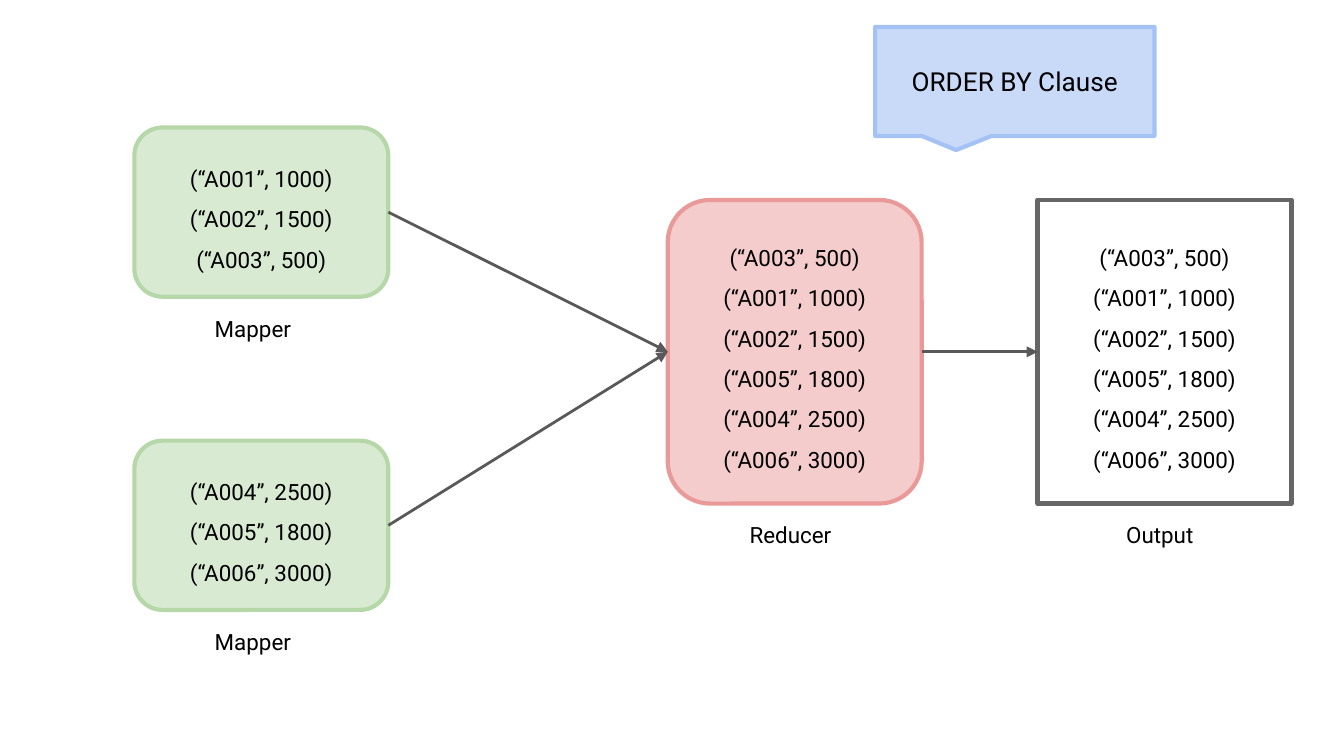
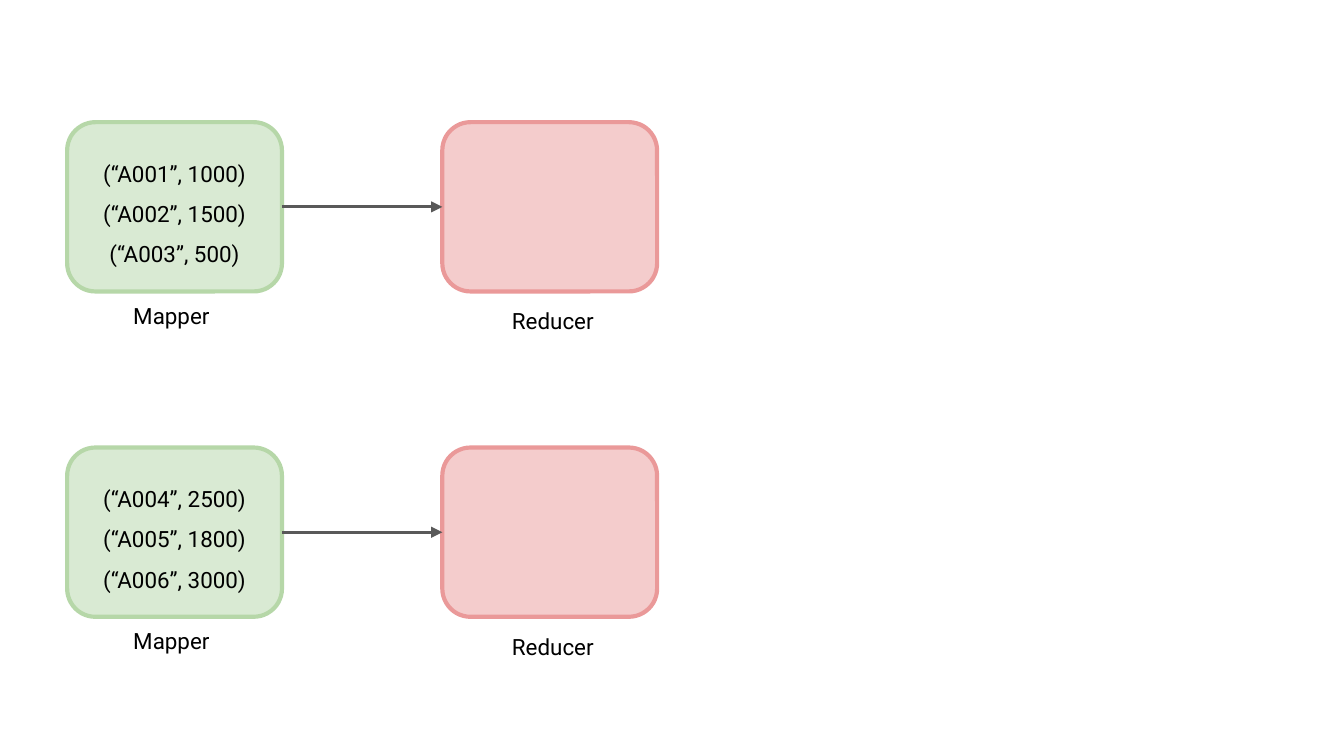
from dataclasses import dataclass

from lxml import etree
from pptx import Presentation
from pptx.dml.color import RGBColor
from pptx.enum import shapes, text
from pptx.oxml import ns
from pptx.util import Cm, Pt

BLACK = RGBColor(0x00, 0x00, 0x00)
WHITE = RGBColor(0xFF, 0xFF, 0xFF)
GREEN = RGBColor(0xD9, 0xEA, 0xD3)
LEAF = RGBColor(0xB6, 0xD7, 0xA8)
PINK = RGBColor(0xF4, 0xCC, 0xCC)
ROSE = RGBColor(0xEA, 0x99, 0x99)
SKY = RGBColor(0xC9, 0xDA, 0xF8)
BLUE = RGBColor(0xA4, 0xC2, 0xF4)
GRAY = RGBColor(0x66, 0x66, 0x66)
DARK = RGBColor(0x59, 0x59, 0x59)

FORM = shapes.MSO_SHAPE
LEFT, RIGHT = 1, 3
PAD = Cm(0.25)
FRAME = {
    "word_wrap": True,
    "margin_left": PAD,
    "margin_right": PAD,
    "margin_top": PAD,
    "margin_bottom": PAD,
}


@dataclass(frozen=True)
class Style:
    form: FORM
    fill: RGBColor
    edge: RGBColor
    size: int = 12
    lead: float = 1.5


@dataclass(frozen=True)
class Box:
    style: Style
    left: float
    top: float
    width: float
    height: float
    rows: tuple = ()


@dataclass(frozen=True)
class Label:
    words: str
    left: float
    top: float
    width: float


MAPPER = Style(FORM.ROUNDED_RECTANGLE, GREEN, LEAF)
REDUCER = Style(FORM.ROUNDED_RECTANGLE, PINK, ROSE)
OUTPUT = Style(FORM.RECTANGLE, WHITE, GRAY)
CLAUSE = Style(FORM.ROUNDED_RECTANGULAR_CALLOUT, SKY, BLUE, 14, 1.0)

PAIRS = {"A001": 1000, "A002": 1500, "A003": 500,
         "A004": 2500, "A005": 1800, "A006": 3000}


def rows(keys) -> tuple:
    return tuple(f"(“{key}”, {PAIRS[key]})" for key in keys)


HALVES = (rows(list(PAIRS)[:3]), rows(list(PAIRS)[3:]))
SORTED = rows(sorted(PAIRS, key=PAIRS.get))


def assign(target, values: dict) -> None:
    for name, value in values.items():
        setattr(target, name, value)


def write(frame, lines: tuple, size: int, lead: float, extra: dict) -> None:
    assign(frame, FRAME | extra)
    for spot, line in enumerate(lines):
        para = frame.add_paragraph() if spot else frame.paragraphs[0]
        assign(para, {"alignment": text.PP_ALIGN.CENTER, "line_spacing": lead})
        run = para.add_run()
        run.text = line
        assign(run.font, {"name": "Roboto", "size": Pt(size)})
        run.font.color.rgb = BLACK


def draw_box(slide, box: Box):
    style = box.style
    shape = slide.shapes.add_shape(
        style.form, Cm(box.left), Cm(box.top), Cm(box.width), Cm(box.height))
    shape.shadow.inherit = False
    shape.fill.solid()
    shape.fill.fore_color.rgb = style.fill
    shape.line.color.rgb = style.edge
    shape.line.width = Pt(2.25)
    write(shape.text_frame, box.rows, style.size, style.lead,
          {"vertical_anchor": text.MSO_ANCHOR.MIDDLE})
    return shape


def draw_label(slide, label: Label) -> None:
    area = slide.shapes.add_textbox(
        Cm(label.left), Cm(label.top), Cm(label.width), Cm(1.02))
    write(area.text_frame, (label.words,), 12, 1.0,
          {"auto_size": text.MSO_AUTO_SIZE.SHAPE_TO_FIT_TEXT})


def draw_arrow(slide, start, end) -> None:
    arrow = slide.shapes.add_connector(
        shapes.MSO_CONNECTOR.STRAIGHT, 0, 0, 0, 0)
    arrow.begin_connect(start, RIGHT)
    arrow.end_connect(end, LEFT)
    arrow.line.color.rgb = DARK
    arrow.line.width = Pt(1.5)
    props = arrow.element.spPr
    line = props.find(ns.qn("a:ln"))
    etree.SubElement(line, ns.qn("a:tailEnd"), type="triangle")
    etree.SubElement(props, ns.qn("a:effectLst"))


def draw_order(slide) -> None:
    width, tall = 4.8, 5.74
    reducer = draw_box(slide, Box(REDUCER, 12.62, 3.78, width, tall, SORTED))
    output = draw_box(slide, Box(OUTPUT, 19.61, 3.78, width, tall, SORTED))
    for half, top in zip(HALVES, (2.41, 8.33)):
        mapper = draw_box(slide, Box(MAPPER, 2.54, top, width, 3.2, half))
        draw_arrow(slide, mapper, reducer)
        draw_label(slide, Label("Mapper", 3.51, top + 3.29, 2.54))
    draw_arrow(slide, reducer, output)
    for words, left in (("Reducer", 13.67), ("Output", 20.65)):
        draw_label(slide, Label(words, left, 9.6, 2.54))
    clause = draw_box(
        slide, Box(CLAUSE, 16.54, 0.51, 5.28, 2.06, ("ORDER BY Clause",)))
    for spot, value in enumerate((-0.21, 0.63, 0)):
        clause.adjustments[spot] = value


def draw_sort(slide) -> None:
    width, height = 4.06, 3.2
    for half, top in zip(HALVES, (2.31, 8.46)):
        mapper = draw_box(slide, Box(MAPPER, 1.27, top, width, height, half))
        reducer = draw_box(slide, Box(REDUCER, 8.36, top, width, height))
        draw_arrow(slide, mapper, reducer)
        draw_label(slide, Label("Mapper", 2.16, top + 3.15, 2.16))
        draw_label(slide, Label("Reducer", 9.37, top + 3.25, 2.16))


def main() -> None:
    deck = Presentation()
    assign(deck, {"slide_width": Cm(25.4), "slide_height": Cm(14.29)})
    for draw in (draw_order, draw_sort):
        draw(deck.slides.add_slide(deck.slide_layouts[6]))
    deck.save("out.pptx")


if __name__ == "__main__":
    main()
